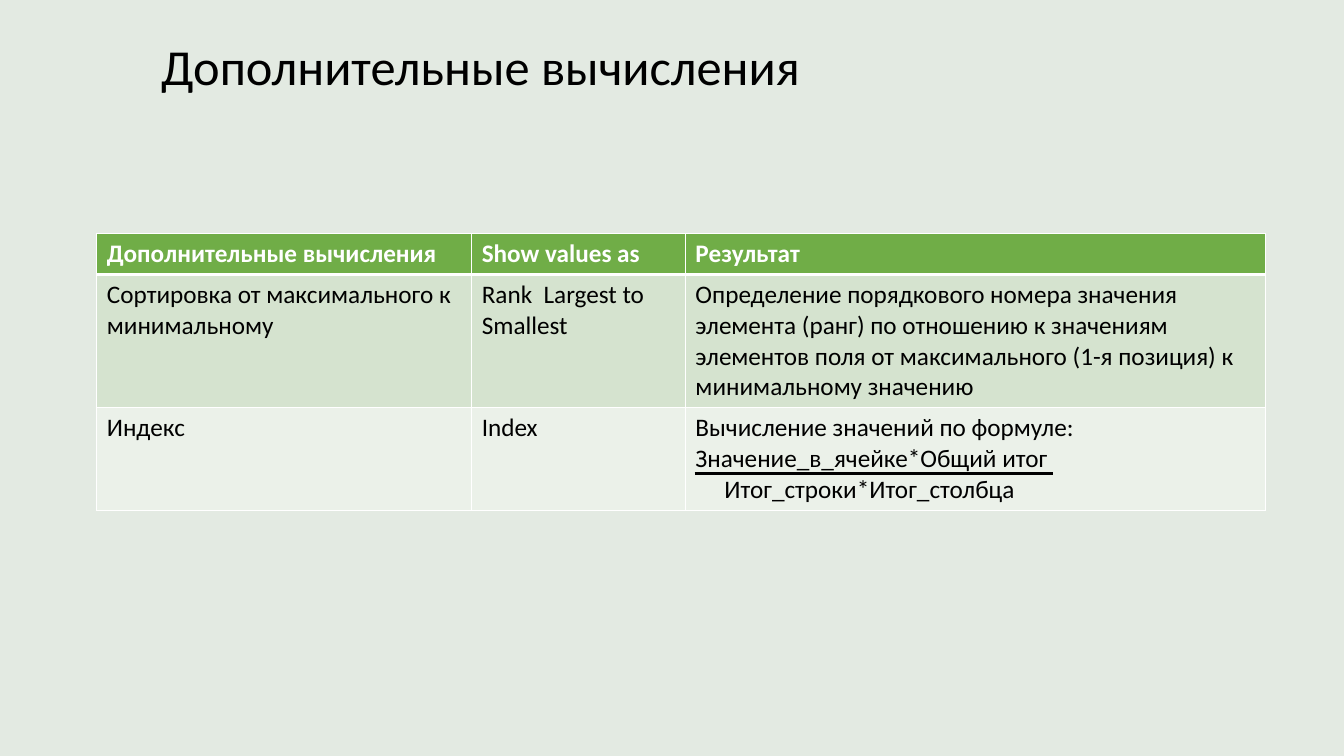
from dataclasses import dataclass

from lxml import etree
from pptx import Presentation
from pptx.dml.color import RGBColor
from pptx.enum.shapes import MSO_CONNECTOR
from pptx.enum.text import MSO_ANCHOR
from pptx.oxml.ns import qn
from pptx.util import Inches, Pt

STRAIGHT = MSO_CONNECTOR.STRAIGHT
MIDDLE = MSO_ANCHOR.MIDDLE


@dataclass
class Theme:
    font: str = "Calibri"
    back: str = "E3EAE2"
    ink: str = "000000"
    white: str = "FFFFFF"
    head: str = "70AD47"
    bands: tuple = ("D5E3CF", "EBF1E9")
    title: int = 36
    body: int = 18
    rule: float = 2.25
    thin: int = 1
    thick: int = 3


class Deck:
    def __init__(self, theme):
        self.theme = theme
        self.file = Presentation()
        self.file.slide_width = Inches(13.33)
        self.file.slide_height = Inches(7.5)
        self.slide = self.file.slides.add_slide(self.file.slide_layouts[6])
        fill = self.slide.background.fill
        fill.solid()
        fill.fore_color.rgb = RGBColor.from_string(theme.back)

    def across(self, share):
        return round(self.file.slide_width * share / 100)

    def down(self, share):
        return round(self.file.slide_height * share / 100)

    def style(self, frame, size, color, bold=False):
        for para in frame.paragraphs:
            for run in para.runs:
                run.font.name = self.theme.font
                run.font.size = Pt(size)
                run.font.bold = bold
                run.font.color.rgb = RGBColor.from_string(color)

    def title(self, text, left, top, width, height):
        box = self.slide.shapes.add_textbox(
            self.across(left), self.down(top), self.across(width), self.down(height))
        frame = box.text_frame
        frame.word_wrap = True
        frame.vertical_anchor = MIDDLE
        frame.text = text
        frame.paragraphs[0].line_spacing = 0.9
        self.style(frame, self.theme.title, self.theme.ink)

    def border(self, cell, side, width):
        props = cell._tc.get_or_add_tcPr()
        line = etree.SubElement(props, qn(f"a:ln{side}"), w=str(Pt(width)))
        fill = etree.SubElement(line, qn("a:solidFill"))
        etree.SubElement(fill, qn("a:srgbClr"), val=self.theme.white)

    def cell(self, cell, text, row):
        theme = self.theme
        head = row == 0
        cell.text_frame.text = text
        self.style(cell.text_frame, theme.body, theme.white if head else theme.ink, head)
        for side in "LRTB":
            thick = (row, side) in ((0, "B"), (1, "T"))
            self.border(cell, side, theme.thick if thick else theme.thin)
        cell.fill.solid()
        color = theme.head if head else theme.bands[(row - 1) % 2]
        cell.fill.fore_color.rgb = RGBColor.from_string(color)

    def table(self, rows, left, top, widths, heights):
        table = self.slide.shapes.add_table(
            len(heights), len(widths), self.across(left), self.down(top),
            self.across(sum(widths)), self.down(sum(heights))).table
        for col, width in zip(table.columns, widths):
            col.width = self.across(width)
        for row, height in zip(table.rows, heights):
            row.height = self.down(height)
        for r, texts in enumerate(rows):
            for c, text in enumerate(texts):
                self.cell(table.cell(r, c), text, r)
        return table

    def indent(self, para, share):
        para._p.get_or_add_pPr().set("marL", str(self.across(share)))

    def rule(self, left, right, top):
        line = self.slide.shapes.add_connector(
            STRAIGHT, self.across(left), self.down(top), self.across(right), self.down(top))
        line.line.color.rgb = RGBColor.from_string(self.theme.ink)
        line.line.width = Pt(self.theme.rule)
        etree.SubElement(line._element.spPr, qn("a:effectLst"))


ROWS = (
    ("Дополнительные вычисления", "Show values as", "Результат"),
    ("Сортировка от максимального к минимальному", "Rank  Largest to Smallest",
     "Определение порядкового номера значения элемента (ранг) по отношению к значениям "
     "элементов поля от максимального (1-я позиция) к минимальному значению"),
    ("Индекс", "Index",
     "Вычисление значений по формуле:\nЗначение_в_ячейке*Общий итог\nИтог_строки*Итог_столбца"),
)


def main():
    deck = Deck(Theme())
    deck.title("Дополнительные вычисления", 11.25, 3.73, 81.92, 10.93)
    table = deck.table(ROWS, 7.2, 30.93, (27.9, 15.9, 43.15), (5.4, 17.6, 13.6))
    deck.indent(table.cell(2, 2).text_frame.paragraphs[-1], 2.15)
    deck.rule(51.69, 78.32, 62.67)
    deck.file.save("out.pptx")


if __name__ == "__main__":
    main()
